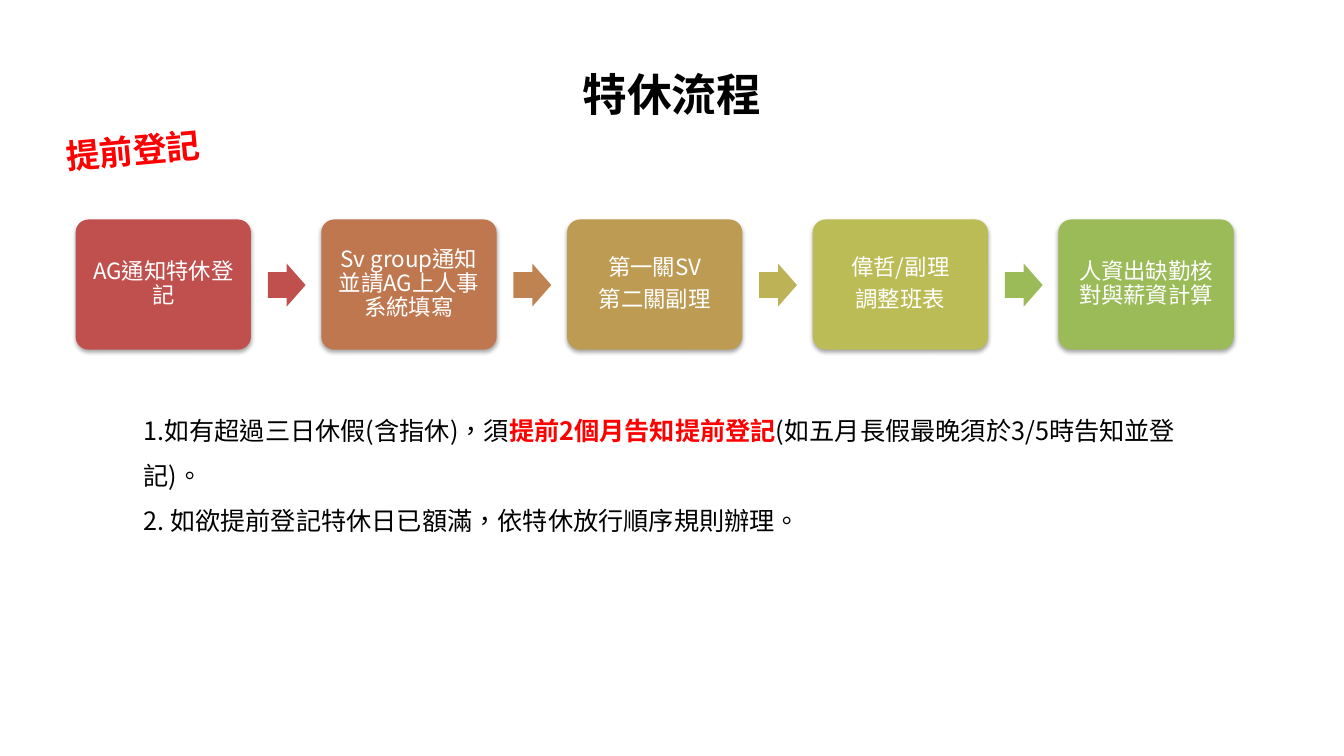
from dataclasses import dataclass

from lxml import etree
from pptx import Presentation
from pptx import util as u
from pptx.dml.color import RGBColor
from pptx.enum import lang, shapes, text
from pptx.oxml import ns

EMU_PER_PX = 9525


def px(*values):
    return [u.Emu(v * EMU_PER_PX) for v in values]


def add_xml(parent, tag, **attrs):
    return etree.SubElement(parent, ns.qn(tag), attrs)


@dataclass(frozen=True)
class Theme:
    ink: str = "000000"
    alert: str = "FF0000"
    light: str = "FFFFFF"
    title_size: int = 32
    label_size: int = 24
    note_size: int = 18
    step_size: int = 16
    title_font: str = "Arial"
    label_font: str = "Times New Roman"
    body_font: str = "Noto Sans CJK SC"


class Deck:
    def __init__(self, theme):
        self.theme = theme
        self.prs = Presentation()
        self.prs.slide_width, self.prs.slide_height = px(1280, 720)
        self.s = self.prs.slides.add_slide(self.prs.slide_layouts[1])

    def place(self, sp, box):
        for name, value in zip(("left", "top", "width", "height"), px(*box)):
            setattr(sp, name, value)

    def frame(self, sp, **fmt):
        for name, value in {"word_wrap": True, **fmt}.items():
            setattr(sp.text_frame, name, value)
        return sp.text_frame

    def paragraph(self, tf, **fmt):
        p = tf.paragraphs[0]
        if p.runs:
            p = tf.add_paragraph()
        for name, value in fmt.items():
            setattr(p, name, value)
        return p

    def run(self, p, words, color, **fmt):
        r = p.add_run()
        r.text = words
        base = {"name": self.theme.body_font, "bold": False,
                "language_id": lang.MSO_LANGUAGE_ID.TRADITIONAL_CHINESE}
        for name, value in {**base, **fmt}.items():
            setattr(r.font, name, value)
        r.font.color.rgb = RGBColor.from_string(color)
        add_xml(r.font._element, "a:ea", typeface=self.theme.body_font)

    def title(self, words, box):
        t, sp = self.theme, self.s.shapes.title
        self.place(sp, box)
        tf = self.frame(sp, vertical_anchor=text.MSO_ANCHOR.MIDDLE)
        p = self.paragraph(tf, alignment=text.PP_ALIGN.CENTER)
        self.run(p, words, t.ink, size=u.Pt(t.title_size), name=t.title_font, bold=True)

    def label(self, words, box, rotation):
        t, sp = self.theme, self.s.shapes.add_textbox(*px(*box))
        sp.rotation = rotation
        p = self.paragraph(self.frame(sp))
        self.run(p, words, t.alert, size=u.Pt(t.label_size), name=t.label_font, bold=True)

    def shape(self, kind, box, fill, adjustments):
        sp = self.s.shapes.add_shape(kind, *px(*box))
        for i, value in enumerate(adjustments):
            sp.adjustments[i] = value
        sp.fill.solid()
        sp.fill.fore_color.rgb = RGBColor.from_string(fill)
        sp.line.fill.background()
        sp.shadow.inherit = False
        return sp

    def card(self, lines, box, fill):
        t = self.theme
        sp = self.shape(shapes.MSO_SHAPE.ROUNDED_RECTANGLE, box, fill, [0.1])
        effects = sp._element.spPr.find(ns.qn("a:effectLst"))
        shadow = add_xml(effects, "a:outerShdw", blurRad="40000", dist="23000",
                         dir="5400000", rotWithShape="0")
        color = add_xml(shadow, "a:srgbClr", val=t.ink)
        add_xml(color, "a:alpha", val="35000")
        margins = ("margin_left", "margin_top", "margin_right", "margin_bottom")
        tf = self.frame(sp, vertical_anchor=text.MSO_ANCHOR.MIDDLE,
                        **dict(zip(margins, px(7, 7, 7, 7))))
        for line in lines:
            p = self.paragraph(tf, alignment=text.PP_ALIGN.CENTER, line_spacing=0.9,
                               space_after=u.Pt(5.6))
            self.run(p, line, t.light, size=u.Pt(t.step_size))

    def arrow(self, box, fill):
        self.shape(shapes.MSO_SHAPE.RIGHT_ARROW, box, fill, [0.6, 0.5])

    def notes(self, items, box):
        t, sp = self.theme, self.s.placeholders[1]
        self.place(sp, box)
        tf = self.frame(sp, auto_size=text.MSO_AUTO_SIZE.NONE,
                        vertical_anchor=text.MSO_ANCHOR.TOP)
        for bullet, parts in items:
            p = self.paragraph(tf, line_spacing=1.5, space_before=u.Pt(0))
            pPr = p._p.get_or_add_pPr()
            for name in ("marL", "indent"):
                pPr.set(name, "0")
            add_xml(pPr, *bullet[:1], **dict(bullet[1:]))
            for words, strong in parts:
                self.run(p, words, t.alert if strong else t.ink,
                         size=u.Pt(t.note_size), bold=strong)


STEPS = [
    (["AG通知特休登記"], "C0504D", "C0504D"),
    (["Sv group通知並請AG上人事系統填寫"], "BF7750", "BE8351"),
    (["第一關SV", "第二關副理"], "BD9B53", "BDB255"),
    (["偉哲/副理", "調整班表"], "BCBC56", "9BBB59"),
    (["人資出缺勤核對與薪資計算"], "9BBB59", None),
]
NUMBERED = ("a:buAutoNum", ("type", "arabicPeriod"))
PLAIN = ("a:buNone",)
NOTES = [
    (NUMBERED, [("如有超過三日休假(含指休)，須", False),
                ("提前2個月告知提前登記", True),
                ("(如五月長假最晚須於3/5時告知並登記)。", False)]),
    (PLAIN, [("2. 如欲提前登記特休日已額滿，依特休放行順序規則辦理。", False)]),
]


def main():
    deck = Deck(Theme())
    deck.title("特休流程", (64, 29, 1152, 120))
    for i, (lines, fill, arrow_fill) in enumerate(STEPS):
        left = 72 + 234 * i
        deck.card(lines, (left, 209, 167, 124), fill)
        if arrow_fill:
            deck.arrow((left + 183, 251, 36, 41), arrow_fill)
    deck.label("提前登記", (53, 114, 249, 48), 354.7)
    deck.notes(NOTES, (127, 376, 1055, 135))
    deck.prs.save("out.pptx")


if __name__ == "__main__":
    main()
